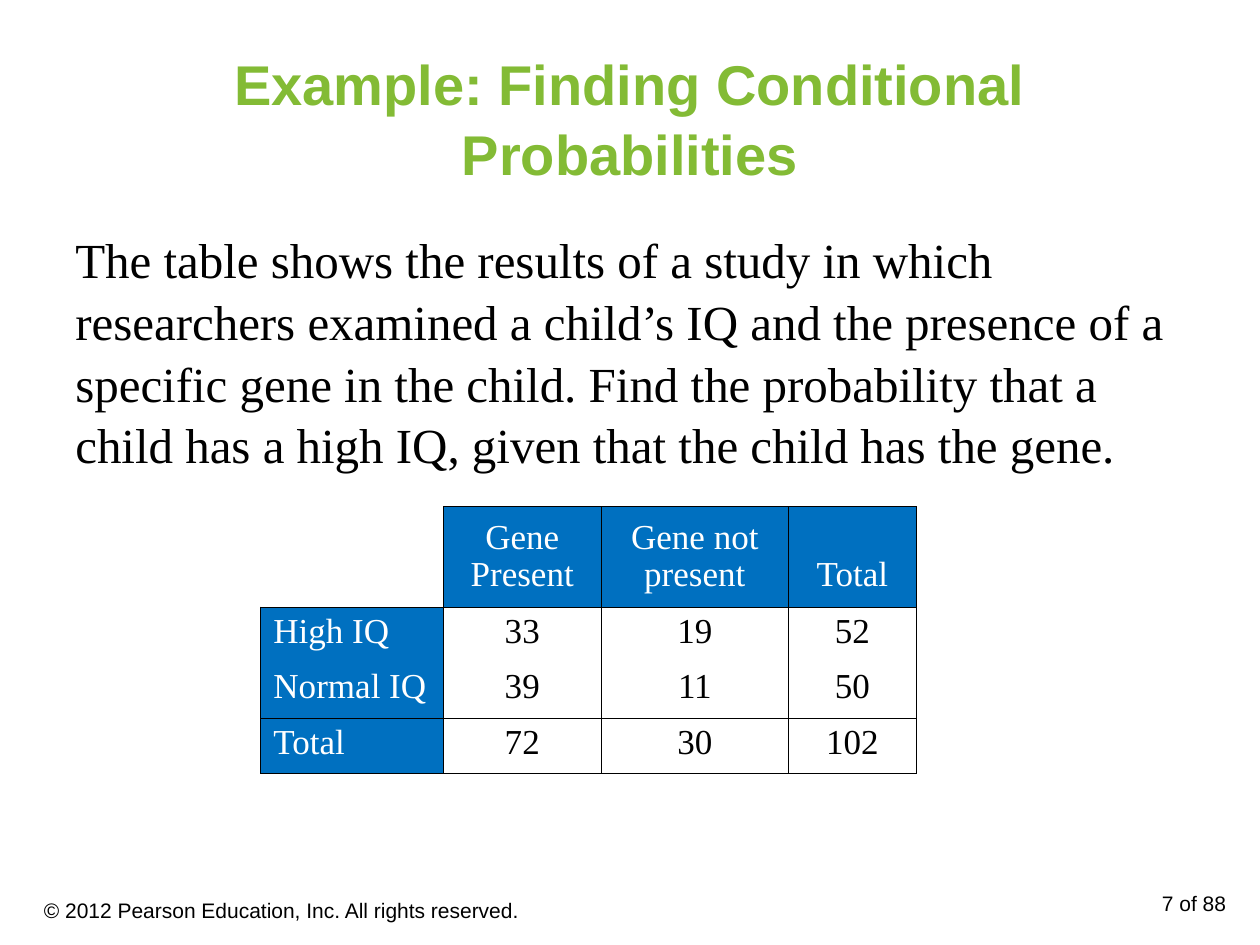
from lxml import etree
from pptx import Presentation
from pptx.dml.color import RGBColor
from pptx.enum.text import MSO_ANCHOR, PP_ALIGN
from pptx.oxml.ns import qn
from pptx.util import Inches, Pt

LEFT, CENTER, RIGHT = PP_ALIGN.LEFT, PP_ALIGN.CENTER, PP_ALIGN.RIGHT
TOP, MIDDLE, BOTTOM = MSO_ANCHOR.TOP, MSO_ANCHOR.MIDDLE, MSO_ANCHOR.BOTTOM
GREEN = RGBColor(0x83, 0xBB, 0x35)
BLUE = RGBColor(0x00, 0x70, 0xC0)
BLACK = RGBColor(0x00, 0x00, 0x00)
WHITE = RGBColor(0xFF, 0xFF, 0xFF)
SANS, SERIF = "Arial", "Times New Roman"
TITLE_LAYOUT = 5

QUESTION = (
    "The table shows the results of a study in which researchers examined a "
    "child’s IQ and the presence of a specific gene in the child. Find the "
    "probability that a child has a high IQ, given that the child has the gene."
)
RESULTS = [
    ["", "Gene Present", "Gene not present", "Total"],
    ["High IQ", "33", "19", "52"],
    ["Normal IQ", "39", "11", "50"],
    ["Total", "72", "30", "102"],
]
COLUMN_WIDTHS = [1.45, 1.25, 1.49, 1.01]
ROW_HEIGHTS = [0.77, 0.44, 0.44, 0.44]


def write(frame, text, font_name, size, color, align=LEFT, bold=False, spacing=None):
    """Fill a text frame with one formatted paragraph."""
    para = frame.paragraphs[0]
    para.text = text
    para.alignment = align
    para.line_spacing = spacing
    font = para.font
    font.name, font.size, font.bold = font_name, Pt(size), bold
    font.color.rgb = color


def place_title(page, left, top, width, height):
    """Move and format the title placeholder."""
    title = page.shapes.title
    title.left, title.top = Inches(left), Inches(top)
    title.width, title.height = Inches(width), Inches(height)
    title.text_frame.vertical_anchor = MIDDLE
    write(title.text_frame, "Example: Finding Conditional Probabilities",
          SANS, 32, GREEN, CENTER, True, 1.05)


def add_text(page, left, top, width, height, text, font_name, size,
             align=LEFT, anchor=TOP, spacing=None):
    """Add a wrapped black text box."""
    box = page.shapes.add_textbox(Inches(left), Inches(top), Inches(width), Inches(height))
    frame = box.text_frame
    frame.word_wrap = True
    frame.vertical_anchor = anchor
    write(frame, text, font_name, size, BLACK, align, False, spacing)


def draw_borders(cell, drawn):
    """Rule the sides of a cell named in drawn and clear the others."""
    properties = cell._tc.get_or_add_tcPr()
    for side in "LRTB":
        line = etree.SubElement(properties, qn(f"a:ln{side}"), w=str(Pt(0.45)))
        if side in drawn:
            fill = etree.SubElement(line, qn("a:solidFill"))
            etree.SubElement(fill, qn("a:srgbClr"), val=str(BLACK))
        else:
            etree.SubElement(line, qn("a:noFill"))


def sides_to_draw(row, column):
    """Outline the blank corner only inside, and join the two IQ rows."""
    if row == 0 and column == 0:
        return "RB"
    return {1: "LRT", 2: "LRB"}.get(row, "LRTB")


def add_results_table(page, left, top):
    """Add the IQ by gene table with blue row and column headings."""
    frame = page.shapes.add_table(
        len(RESULTS), len(COLUMN_WIDTHS), Inches(left), Inches(top),
        Inches(sum(COLUMN_WIDTHS)), Inches(sum(ROW_HEIGHTS)))
    table = frame.table
    table.first_row = table.horz_banding = False
    for column, width in zip(table.columns, COLUMN_WIDTHS):
        column.width = Inches(width)
    for row, height in zip(table.rows, ROW_HEIGHTS):
        row.height = Inches(height)
    for r, values in enumerate(RESULTS):
        for c, value in enumerate(values):
            cell = table.cell(r, c)
            heading = r == 0 or c == 0
            draw_borders(cell, sides_to_draw(r, c))
            if heading and value:
                cell.fill.solid()
                cell.fill.fore_color.rgb = BLUE
            else:
                cell.fill.background()
            if r == 0:
                cell.vertical_anchor = BOTTOM
                cell.margin_bottom = Inches(0.1)
            write(cell.text_frame, value, SERIF, 20, WHITE if heading else BLACK,
                  CENTER if c else LEFT, spacing=0.97)


def main():
    """Build and save the slide."""
    deck = Presentation()
    deck.slide_width, deck.slide_height = Inches(10), Inches(7.5)
    page = deck.slides.add_slide(deck.slide_layouts[TITLE_LAYOUT])
    place_title(page, 0.5, 0.3, 9, 1.25)
    add_text(page, 0.5, 1.75, 9, 2.01, QUESTION, SERIF, 28, spacing=1.05)
    add_results_table(page, 2.07, 4.02)
    add_text(page, 0.25, 7.02, 4.75, 0.4,
             "© 2012 Pearson Education, Inc. All rights reserved.", SANS, 12, anchor=MIDDLE)
    add_text(page, 7.5, 7.02, 2.33, 0.4, "7 of 88", SANS, 12, RIGHT)
    deck.save("out.pptx")


if __name__ == "__main__":
    main()
